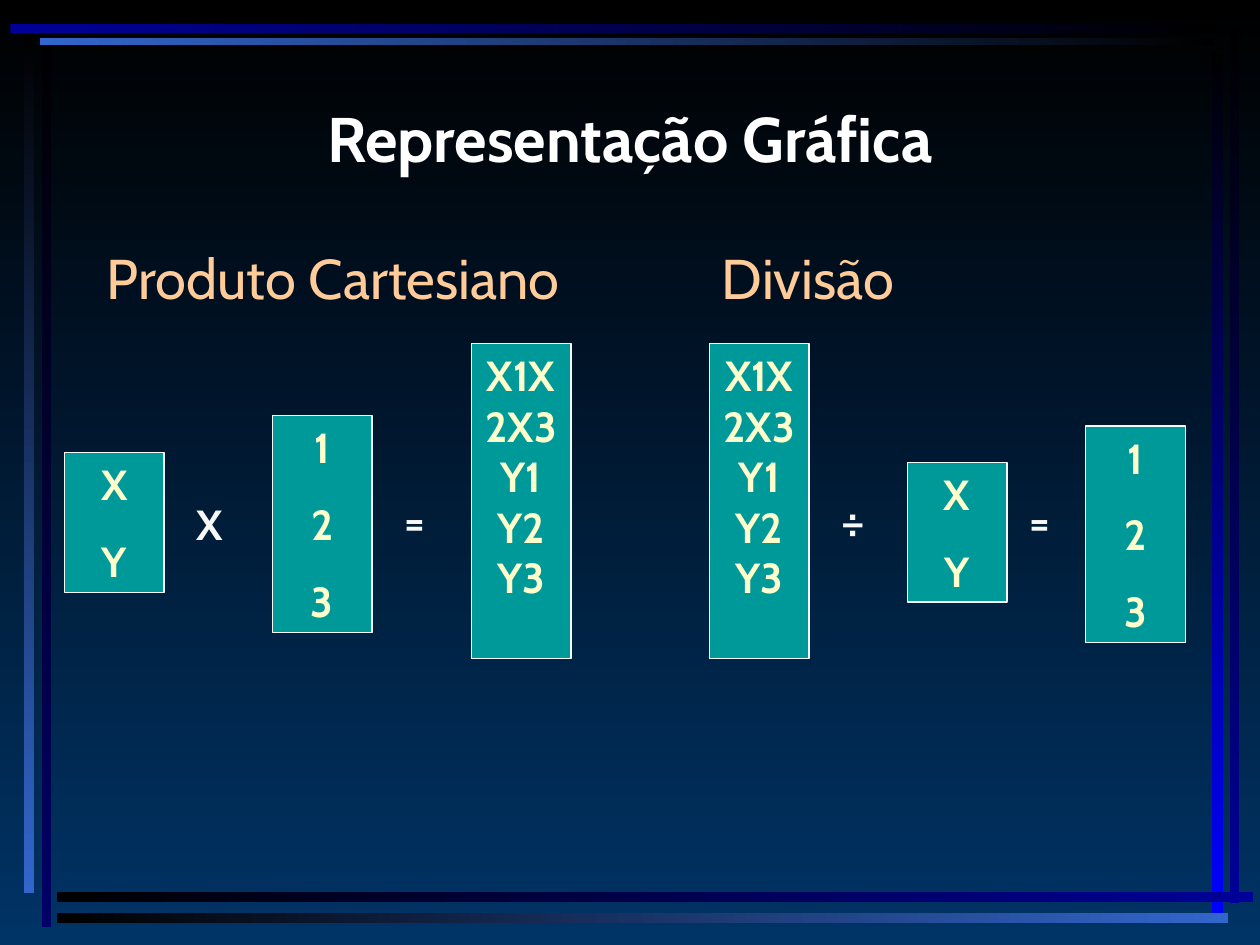
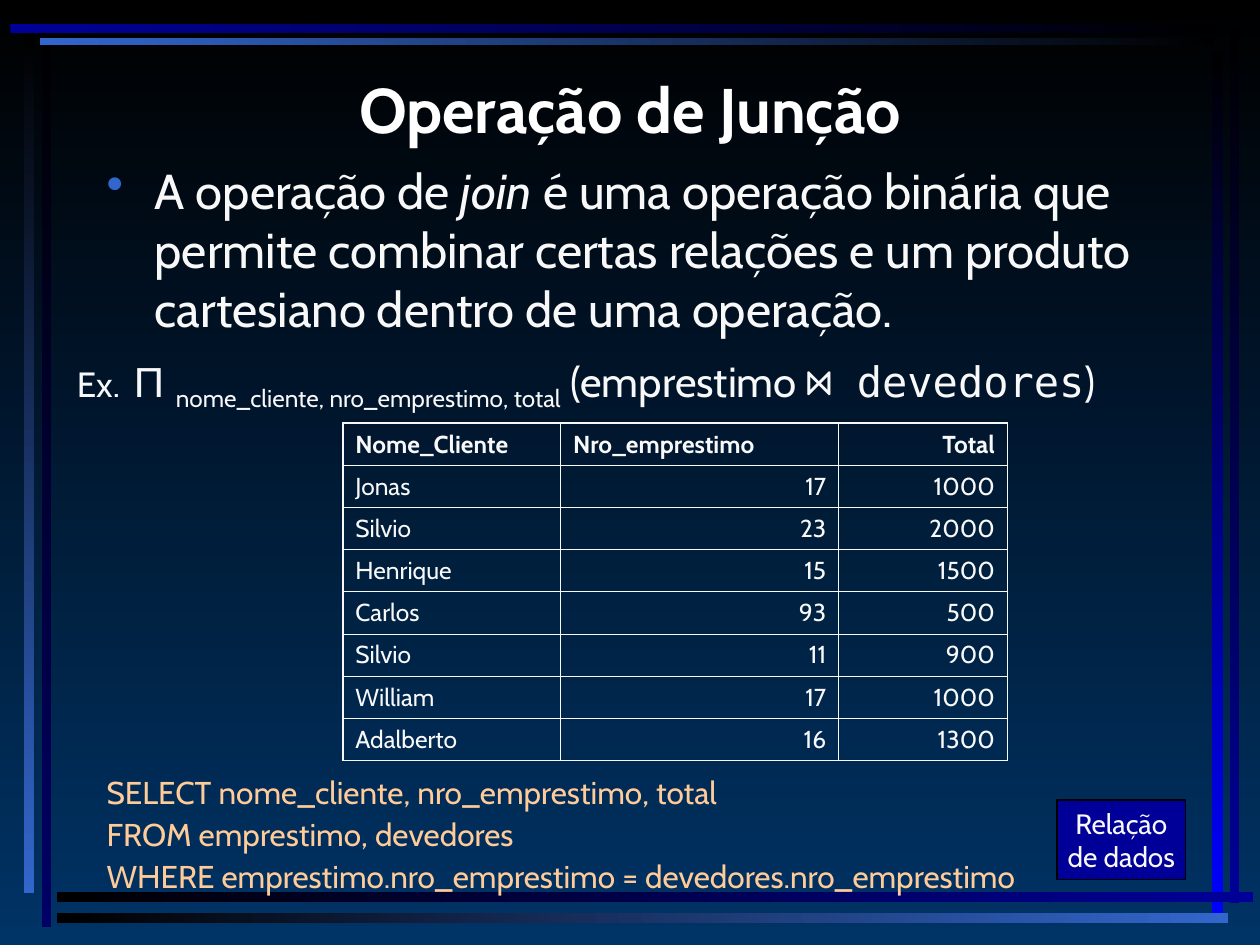
from dataclasses import dataclass

from lxml.etree import SubElement
from pptx import Presentation
from pptx.dml.color import RGBColor
from pptx.enum.shapes import MSO_SHAPE
from pptx.enum.text import MSO_ANCHOR, MSO_AUTO_SIZE, PP_ALIGN
from pptx.oxml import parse_xml
from pptx.oxml.ns import nsdecls, qn
from pptx.util import Cm, Pt


@dataclass(frozen=True)
class Theme:
    # Colours
    black: str = "000000"
    night: str = "003366"
    navy: str = "000066"
    royal: str = "000099"
    vivid: str = "0000FF"
    sky: str = "3366CC"
    teal: str = "009999"
    white: str = "FFFFFF"
    ink: str = "F8F8F8"
    cream: str = "FFFFCC"
    peach: str = "FFCC99"
    # Fonts
    font: str = "Cabin"
    symbol_font: str = "Arial"
    mono_font: str = "DejaVu Sans Mono"
    # Type sizes
    title: int = 36
    heading: int = 32
    body: int = 28
    formula: int = 24
    example: int = 20
    sql: int = 18
    label: int = 16
    cell: int = 14
    # Line widths
    thin: float = 0.45
    outline: float = 0.75
    thick: float = 1.08


THEME = Theme()
DOWN, ACROSS = 270, 0


def rgb(value):
    return RGBColor.from_string(value)


def shade(fill, start, end, angle):
    fill.gradient()
    fill.gradient_angle = angle
    for stop, color in zip(fill.gradient_stops, (start, end)):
        stop.color.rgb = rgb(color)


def write(frame, paragraphs, size, color=THEME.ink, bold=False, align=PP_ALIGN.LEFT,
          before=0, spacing=1.0, anchor=None, wrap=True, tab=None, bullet=None, hang=0):
    """Each paragraph is a string or a list of (text, overrides) runs."""
    if anchor is not None:
        frame.vertical_anchor = anchor
    frame.word_wrap = wrap
    for index, content in enumerate(paragraphs):
        paragraph = frame.paragraphs[0] if index == 0 else frame.add_paragraph()
        paragraph.alignment = align
        paragraph.space_before = Pt(before)
        paragraph.line_spacing = spacing
        properties = paragraph._p.get_or_add_pPr()
        if bullet:
            properties.set("marL", str(Cm(hang)))
            properties.set("indent", str(-Cm(hang)))
            bullet_color = SubElement(properties, qn("a:buClr"))
            SubElement(bullet_color, qn("a:srgbClr"), val=bullet)
            SubElement(properties, qn("a:buChar"), char="•")
        if tab:
            tabs = SubElement(properties, qn("a:tabLst"))
            SubElement(tabs, qn("a:tab"), pos=str(Cm(tab)), algn="l")
        runs = [(content, {})] if isinstance(content, str) else content
        for text, overrides in runs:
            for line, piece in enumerate(text.split("\n")):
                if line:
                    paragraph.add_line_break()
                run = paragraph.add_run()
                run.text = piece
                font = run.font
                font.name = overrides.get("font", THEME.font)
                font.size = Pt(overrides.get("size", size))
                font.bold = bold
                font.italic = overrides.get("italic", False)
                font.color.rgb = rgb(color)
                if "baseline" in overrides:
                    run._r.get_or_add_rPr().set("baseline", str(overrides["baseline"]))


class Deck:
    def __init__(self, theme):
        self.theme = theme
        self.prs = Presentation()
        self.prs.slide_width, self.prs.slide_height = Cm(25.4), Cm(19.05)
        self.slide = None
        shade(self.prs.slide_master.background.fill, theme.black, theme.night, DOWN)

    def new_slide(self, title, top):
        self.slide = self.prs.slides.add_slide(self.prs.slide_layouts[5])
        heading = self.slide.shapes.title
        heading.left, heading.top = Cm(1.9), Cm(top)
        heading.width, heading.height = Cm(21.6), Cm(2.74)
        heading.text_frame.auto_size = MSO_AUTO_SIZE.NONE
        write(heading.text_frame, [title], self.theme.title, self.theme.white, bold=True,
              align=PP_ALIGN.CENTER, anchor=MSO_ANCHOR.BOTTOM)

    def rectangle(self, place, fill=None, line=None):
        shape = self.slide.shapes.add_shape(MSO_SHAPE.RECTANGLE, *map(Cm, place))
        shape.shadow.inherit = False
        if fill:
            shape.fill.solid()
            shape.fill.fore_color.rgb = rgb(fill)
        if line:
            shape.line.color.rgb = rgb(line)
            shape.line.width = Pt(self.theme.outline)
        else:
            shape.line.fill.background()
        return shape

    def master_bands(self, bands):
        """Draw the frame of bands and hand it to the slide master."""
        tree = self.prs.slide_master.element.cSld.spTree
        for index, (place, start, end, angle) in enumerate(bands):
            band = self.rectangle(place)
            shade(band.fill, start, end, angle)
            band.element.nvSpPr.cNvPr.set("id", str(100 + index))
            tree.insert(2 + index, band.element)

    def text(self, place, paragraphs, size, **style):
        box = self.slide.shapes.add_textbox(*map(Cm, place))
        write(box.text_frame, paragraphs, size, **style)

    def box(self, place, paragraphs, size, fill, line, **style):
        shape = self.rectangle(place, fill, line)
        for side in ("left", "right"):
            setattr(shape.text_frame, f"margin_{side}", Cm(0.25))
        write(shape.text_frame, paragraphs, size, align=PP_ALIGN.CENTER, **style)

    def relation(self, left, top, height, values):
        self.box((left, top, 2.01, height), values, self.theme.formula, self.theme.teal,
                 self.theme.ink, color=self.theme.cream, bold=True, before=15,
                 anchor=MSO_ANCHOR.TOP)

    def operator(self, left, symbol, top=9.86):
        self.text((left, top, 1.4, 1.27), [symbol], self.theme.formula, bold=True, before=15)

    def table(self, left, top, widths, row_height, rows):
        count = len(rows)
        frame = self.slide.shapes.add_table(count, len(widths), Cm(left), Cm(top),
                                            Cm(sum(widths)), Cm(row_height * count))
        grid = frame.table
        grid.first_row = grid.horz_banding = False
        for column, width in zip(grid.columns, widths):
            column.width = Cm(width)
        for r, values in enumerate(rows):
            grid.rows[r].height = Cm(row_height)
            for c, value in enumerate(values):
                cell = grid.cell(r, c)
                cell.fill.background()
                right = c == 2 or (c == 1 and r > 0)
                write(cell.text_frame, [value], self.theme.cell, bold=r == 0, before=3.5,
                      align=PP_ALIGN.RIGHT if right else PP_ALIGN.LEFT)
                outer = {"lnL": c == 0, "lnR": c == len(widths) - 1,
                         "lnT": r == 0, "lnB": r == count - 1}
                self.cell_borders(cell, outer)

    def cell_borders(self, cell, outer):
        properties = cell._tc.get_or_add_tcPr()
        for index, (side, is_outer) in enumerate(outer.items()):
            width = Pt(self.theme.thick if is_outer else self.theme.thin)
            properties.insert(index, parse_xml(
                f'<a:{side} {nsdecls("a")} w="{int(width)}"><a:solidFill>'
                f'<a:srgbClr val="{self.theme.ink}"/></a:solidFill></a:{side}>'))


def main():
    t = THEME
    deck = Deck(t)

    # Slide 1: Cartesian product and division
    deck.new_slide("Representação Gráfica", top=0.91)
    deck.master_bands([
        # Left
        ((0.84, 0.71, 0.2, 17.98), t.black, t.navy, DOWN),
        ((0.48, 0.64, 0.2, 17.37), t.black, t.sky, DOWN),
        # Right
        ((24.79, 0.61, 0.18, 17.6), t.black, t.royal, DOWN),
        ((24.43, 1.07, 0.23, 17.35), t.black, t.vivid, DOWN),
        # Bottom
        ((1.14, 17.98, 24.13, 0.2), t.black, t.royal, ACROSS),
        ((1.14, 18.4, 23.62, 0.2), t.black, t.sky, ACROSS),
        # Top
        ((0.81, 0.76, 23.67, 0.15), t.sky, t.black, ACROSS),
        ((0.21, 0.48, 24.28, 0.18), t.royal, t.black, ACROSS),
    ])
    deck.text((1.9, 4.93, 23.5, 2.11), ["Produto Cartesiano\tDivisão"], t.heading,
              color=t.peach, before=8, spacing=0.9, tab=12.4)

    letters, numbers = ["X", "Y"], ["1", "2", "3"]
    pairs = ["X1X2X3 Y1 Y2 Y3"]
    for left, top, height, values in [
        (1.3, 9.12, 2.82, letters), (5.49, 8.38, 4.37, numbers), (9.5, 6.93, 6.35, pairs),
        (14.3, 6.93, 6.35, pairs), (18.29, 9.32, 2.82, letters), (21.89, 8.59, 4.37, numbers),
    ]:
        deck.relation(left, top, height, values)
    deck.operator(3.71, "X", top=9.93)
    for left, symbol in [(7.9, "="), (16.71, "÷"), (20.5, "=")]:
        deck.operator(left, symbol)

    # Slide 2: join operation
    deck.new_slide("Operação de Junção", top=0.33)
    deck.text((1.9, 3.12, 24, 4.85), [[
        ("A operação de ", {}),
        ("join ", {"italic": True}),
        ("é uma operação binária que permite combinar certas relações "
         "e um produto cartesiano dentro de uma operação.", {}),
    ]], t.body, before=7, bullet=t.sky, hang=0.97)

    # Relational algebra expression
    deck.text((1.3, 7.14, 23, 1.65), [[
        ("Ex.\t", {"size": t.example}),
        ("Π ", {"font": t.symbol_font}),
        ("nome_cliente, nro_emprestimo, total", {"baseline": -25000}),
        (" (emprestimo ", {}),
        ("⋈ devedores", {"font": t.mono_font}),
        (")", {}),
    ]], t.formula, before=6, spacing=0.8, tab=1.15)

    # Label and SQL query
    deck.box((21.31, 16.13, 2.59, 1.6), ["Relação\nde dados"], t.label, t.royal, t.black,
             anchor=MSO_ANCHOR.MIDDLE, wrap=False)
    deck.text((1.9, 15.72, 19.8, 2.9), [
        "SELECT nome_cliente, nro_emprestimo, total",
        "FROM emprestimo, devedores",
        "WHERE emprestimo.nro_emprestimo = devedores.nro_emprestimo",
    ], t.sql, color=t.peach, before=11.2, spacing=0.6)

    # Result of the join
    deck.table(6.91, 8.53, [4.39, 5.61, 3.4], 0.85, [
        ("Nome_Cliente", "Nro_emprestimo", "Total"),
        ("Jonas", "17", "1000"),
        ("Silvio", "23", "2000"),
        ("Henrique", "15", "1500"),
        ("Carlos", "93", "500"),
        ("Silvio", "11", "900"),
        ("William", "17", "1000"),
        ("Adalberto", "16", "1300"),
    ])

    deck.prs.save("out.pptx")


if __name__ == "__main__":
    main()
